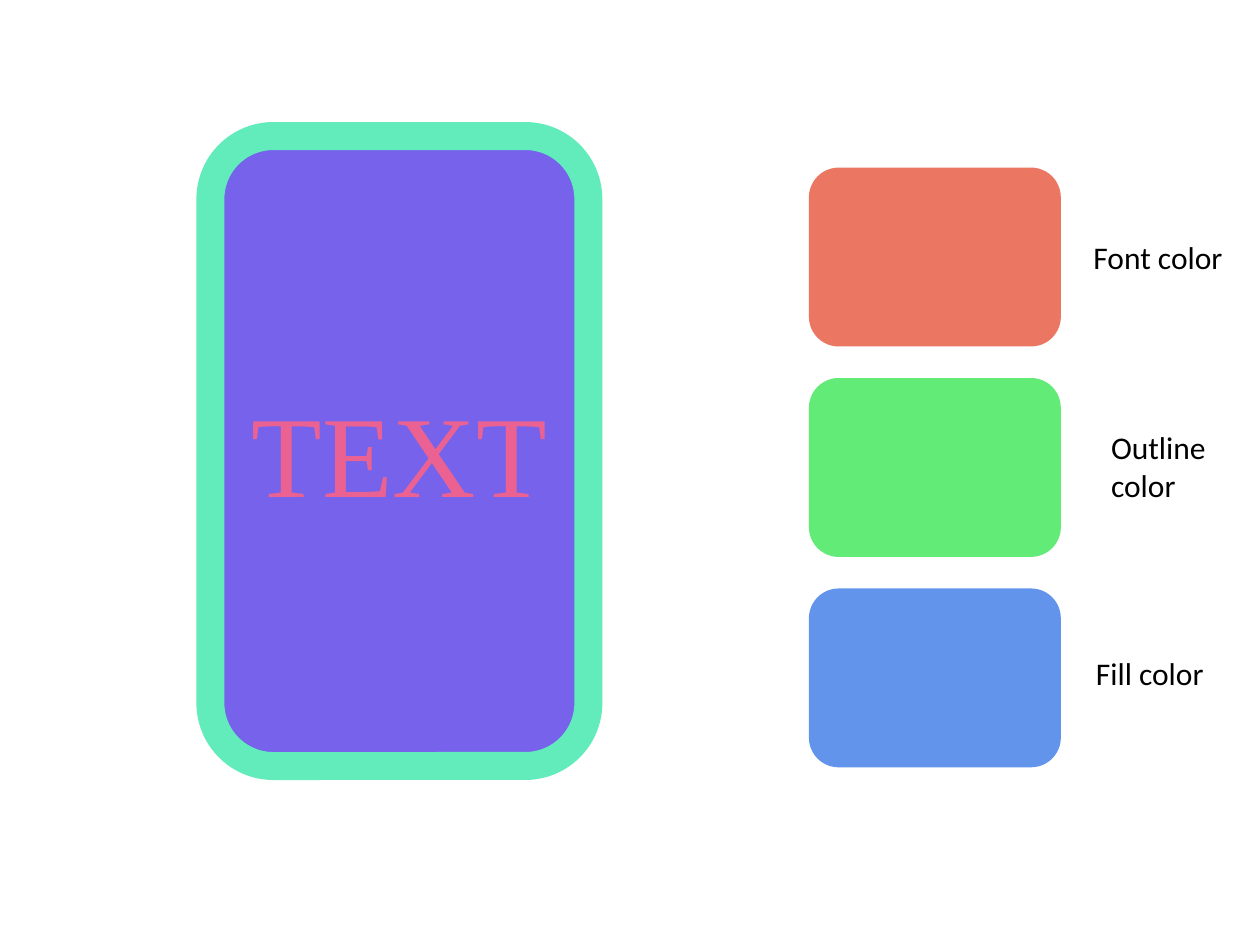
from pptx import Presentation
from pptx import util as u
from pptx.dml.color import RGBColor
from pptx.enum import shapes, text

VIOLET = RGBColor(0x76, 0x62, 0xEB)
MINT = RGBColor(0x62, 0xEB, 0xBB)
PINK = RGBColor(0xEB, 0x62, 0x92)
CORAL = RGBColor(0xEB, 0x76, 0x62)
GREEN = RGBColor(0x62, 0xEB, 0x76)
BLUE = RGBColor(0x62, 0x94, 0xEB)
BLACK = RGBColor(0, 0, 0)

SWATCHES = [
    (CORAL, ["Font color"], (2.16, 0.51, 1.24, 0.4)),
    (GREEN, ["Outline", "color"], (2.3, 0.35, 0.96, 0.71)),
    (BLUE, ["Fill color"], (2.18, 0.47, 1.07, 0.4)),
]


def style(font, color, **values):
    """Set a font's color and its other values."""
    font.color.rgb = color
    for key, value in values.items():
        setattr(font, key, value)


def panel(slide, box, fill):
    """Add a plain rounded rectangle and return it."""
    shape = slide.shapes.add_shape(
        shapes.MSO_SHAPE.ROUNDED_RECTANGLE, *map(u.Inches, box))
    shape.shadow.inherit = False
    shape.fill.solid()
    shape.fill.fore_color.rgb = fill
    shape.line.fill.background()
    return shape


def sample(slide, box):
    """Add the outlined card that shows the three colors together."""
    card = panel(slide, box, VIOLET)
    card.line.color.rgb = MINT
    card.line.width = u.Pt(16)
    frame = card.text_frame
    frame.vertical_anchor = text.MSO_ANCHOR.MIDDLE
    para = frame.paragraphs[0]
    para.alignment = text.PP_ALIGN.CENTER
    run = para.add_run()
    run.text = "TEXT"
    style(run.font, PINK, size=u.Pt(66), name="Times New Roman")


def label(slide, box, lines):
    """Add a caption with one paragraph per line."""
    frame = slide.shapes.add_textbox(*map(u.Inches, box)).text_frame
    frame.word_wrap = False
    frame.auto_size = text.MSO_AUTO_SIZE.SHAPE_TO_FIT_TEXT
    frame.text = "\n".join(lines)
    for para in frame.paragraphs:
        style(para.runs[0].font, BLACK, size=u.Pt(18), name="Calibri")


def legend(slide, left, top, pitch):
    """Add the column of swatches with their captions."""
    for row, (fill, lines, (dx, dy, wide, high)) in enumerate(SWATCHES):
        y = top + row * pitch
        panel(slide, (left, y, 2, 1.42), fill)
        label(slide, (left + dx, y + dy, wide, high), lines)


def main():
    """Build the slide and save it."""
    deck = Presentation()
    deck.slide_width, deck.slide_height = u.Inches(10), u.Inches(7.5)
    slide = deck.slides.add_slide(deck.slide_layouts[6])
    sample(slide, (1.67, 1.08, 3, 5))
    legend(slide, 6.42, 1.33, 1.67)
    deck.save("out.pptx")


if __name__ == "__main__":
    main()
